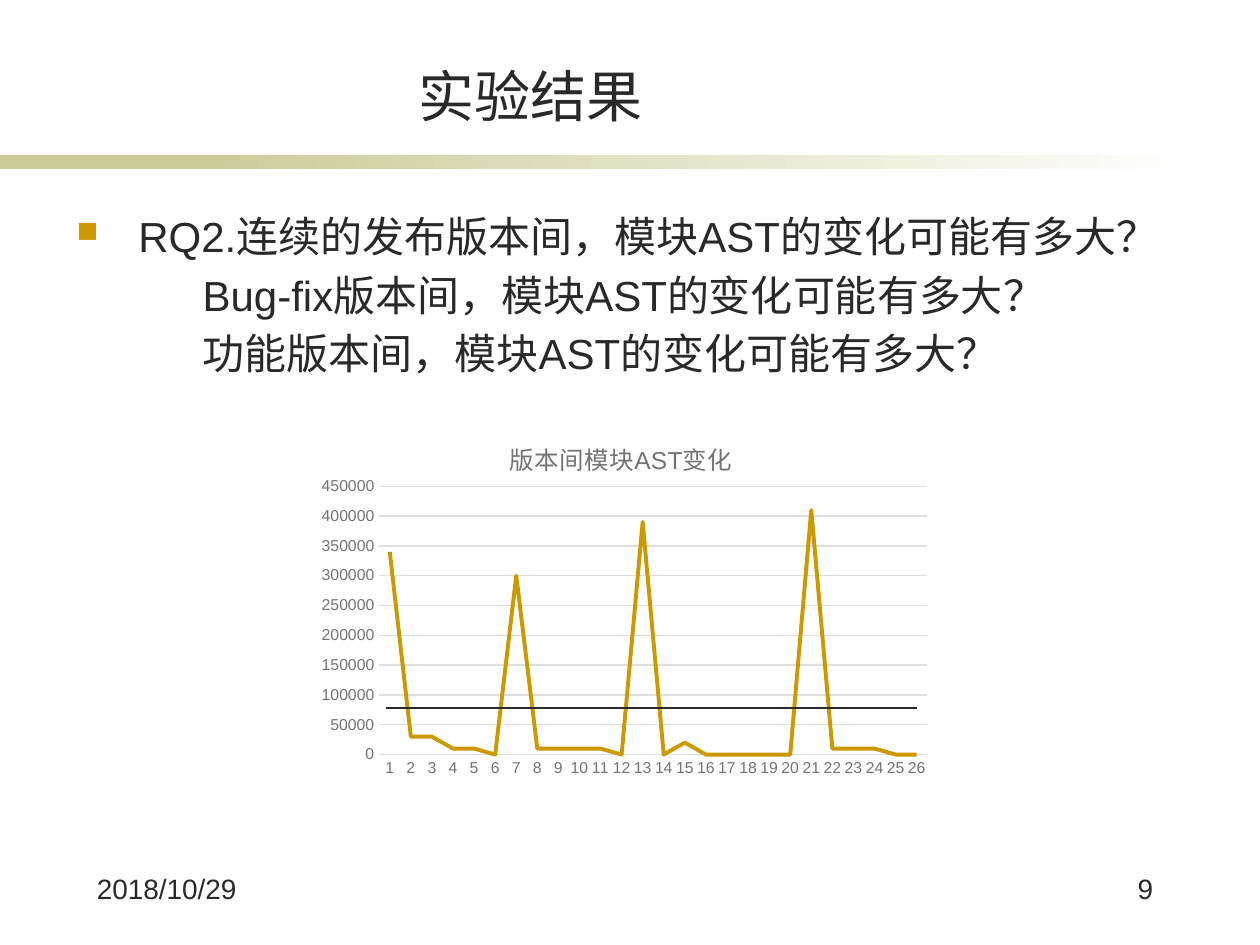
"""Build the experiment results slide with its version-change line chart."""
from dataclasses import dataclass

from lxml import etree
from pptx import Presentation
from pptx.chart.data import CategoryChartData
from pptx.dml.color import RGBColor
from pptx.enum import chart as charts, shapes, text
from pptx.oxml import parse_xml
from pptx.oxml.ns import nsdecls, qn
from pptx.util import Inches, Pt


@dataclass(frozen=True)
class Theme:
    """Colours, font and type sizes of the slide."""
    font: str = "Arial"
    ink: str = "292929"
    accent: str = "CC9900"
    band: str = "CCCC99"
    paper: str = "FFFFFF"
    label: str = "747474"
    grid: str = "DFDFDF"
    title: int = 32
    body: int = 24
    footer: int = 16
    chart_title: int = 14
    axis: int = 9


THEME = Theme()
TITLE = "实验结果"
QUESTIONS = [
    "RQ2.连续的发布版本间，模块AST的变化可能有多大？",
    "Bug-fix版本间，模块AST的变化可能有多大？",
    "功能版本间，模块AST的变化可能有多大？",
]
DATE, NUMBER = "2018/10/29", "9"
CHART_TITLE = "版本间模块AST变化"
CHANGES = [
    340000, 30000, 30000, 10000, 10000, 0, 300000, 10000, 10000, 10000,
    10000, 0, 390000, 0, 20000, 0, 0, 0, 0, 0, 410000, 10000, 10000, 10000,
    0, 0,
]


def color(value):
    return RGBColor.from_string(value)


def style_font(font, size, value=THEME.ink):
    font.name, font.size, font.bold = THEME.font, Pt(size), False
    font.color.rgb = color(value)


def style_line(line, value, width):
    line.color.rgb = color(value)
    line.width = Pt(width)


def add_text(page, area, lines, size, align=text.PP_ALIGN.LEFT,
             anchor=text.MSO_ANCHOR.TOP):
    box = page.shapes.add_textbox(*map(Inches, area))
    frame = box.text_frame
    frame.word_wrap = True
    frame.vertical_anchor = anchor
    frame.text = "\n".join(lines)
    for para in frame.paragraphs:
        para.alignment = align
        for span in para.runs:
            style_font(span.font, size)
    return frame


def add_band(page, left, width):
    band = page.shapes.add_shape(
        shapes.MSO_SHAPE.RECTANGLE, Inches(left), Inches(1.23),
        Inches(width), Inches(0.11))
    band.shadow.inherit = False
    band.line.fill.background()
    return band.fill


def add_bands(page):
    solid = add_band(page, 0, 2.33)
    solid.solid()
    solid.fore_color.rgb = color(THEME.band)
    fade = add_band(page, 1.58, 7.92)
    fade.gradient()
    fade.gradient_angle = 0
    for stop, value in zip(fade.gradient_stops, (THEME.band, THEME.paper)):
        stop.color.rgb = color(value)


def add_questions(page):
    frame = add_text(page, (0.51, 1.62, 8.9, 4.8), QUESTIONS, THEME.body)
    for index, para in enumerate(frame.paragraphs):
        props = para._p.get_or_add_pPr()
        props.set("marL", str(Inches(1 if index else 0.49)))
        props.set("indent", str(0 if index else Inches(-0.49)))
        before = etree.SubElement(props, qn("a:spcBef"))
        etree.SubElement(before, qn("a:spcPct"), val="20000")
        if index == 0:
            tint = etree.SubElement(props, qn("a:buClr"))
            etree.SubElement(tint, qn("a:srgbClr"), val=THEME.accent)
            etree.SubElement(props, qn("a:buSzPct"), val="70000")
            etree.SubElement(props, qn("a:buChar"), char="■")


def place(element, index, **values):
    for layout in element.findall(qn("c:layout")):
        element.remove(layout)
    layout = parse_xml(f"<c:layout {nsdecls('c')}><c:manualLayout/></c:layout>")
    for name, value in values.items():
        etree.SubElement(layout[0], qn(f"c:{name}"), val=str(value))
    element.insert(index, layout)


def add_changes_chart(page):
    data = CategoryChartData()
    data.categories = [str(i + 1) for i in range(len(CHANGES))]
    data.add_series("Series 1", CHANGES)
    chart = page.shapes.add_chart(
        charts.XL_CHART_TYPE.LINE, Inches(2.46), Inches(3.23),
        Inches(5), Inches(3), data).chart
    style_font(chart.font, 10)
    chart.has_legend = False
    chart.has_title = True
    heading = chart.chart_title.text_frame
    heading.text = CHART_TITLE
    style_font(heading.paragraphs[0].runs[0].font, THEME.chart_title, THEME.label)
    place(chart.chart_title._element, 1, xMode="edge", yMode="edge", x=0.31, y=0.07)
    place(chart._chartSpace.chart.plotArea, 0, layoutTarget="inner", xMode="edge",
          yMode="edge", x=0.11, y=0.21, w=0.87, h=0.71)
    for axis in (chart.category_axis, chart.value_axis):
        axis.major_tick_mark = axis.minor_tick_mark = charts.XL_TICK_MARK.NONE
        style_font(axis.tick_labels.font, THEME.axis, THEME.label)
    style_line(chart.category_axis.format.line, THEME.grid, 0.75)
    values = chart.value_axis
    values.minimum_scale, values.maximum_scale, values.major_unit = 0, 450000, 50000
    values.format.line.fill.background()
    values.has_major_gridlines = True
    style_line(values.major_gridlines.format.line, THEME.grid, 0.75)
    chart.plots[0].vary_by_categories = False
    series = chart.plots[0].series[0]
    series.smooth = False
    series.marker.style = charts.XL_MARKER_STYLE.NONE
    style_line(series.format.line, THEME.accent, 2.25)


def add_threshold(page):
    line = page.shapes.add_connector(
        shapes.MSO_CONNECTOR.STRAIGHT, *map(Inches, (3.06, 5.62, 7.28, 5.62)))
    style_line(line.line, THEME.ink, 0.75)
    etree.SubElement(line._element.spPr, qn("a:effectLst"))


def main():
    deck = Presentation()
    deck.slide_width, deck.slide_height = Inches(10), Inches(7.5)
    page = deck.slides.add_slide(deck.slide_layouts[6])
    add_bands(page)
    add_text(page, (1.14, 0.44, 6.14, 0.63), [TITLE], THEME.title,
             text.PP_ALIGN.CENTER, text.MSO_ANCHOR.BOTTOM)
    add_questions(page)
    add_text(page, (0.67, 6.87, 1.41, 0.5), [DATE], THEME.footer)
    add_text(page, (8.23, 6.87, 1.02, 0.5), [NUMBER], THEME.footer,
             text.PP_ALIGN.RIGHT)
    add_changes_chart(page)
    add_threshold(page)
    deck.save("out.pptx")


if __name__ == "__main__":
    main()
